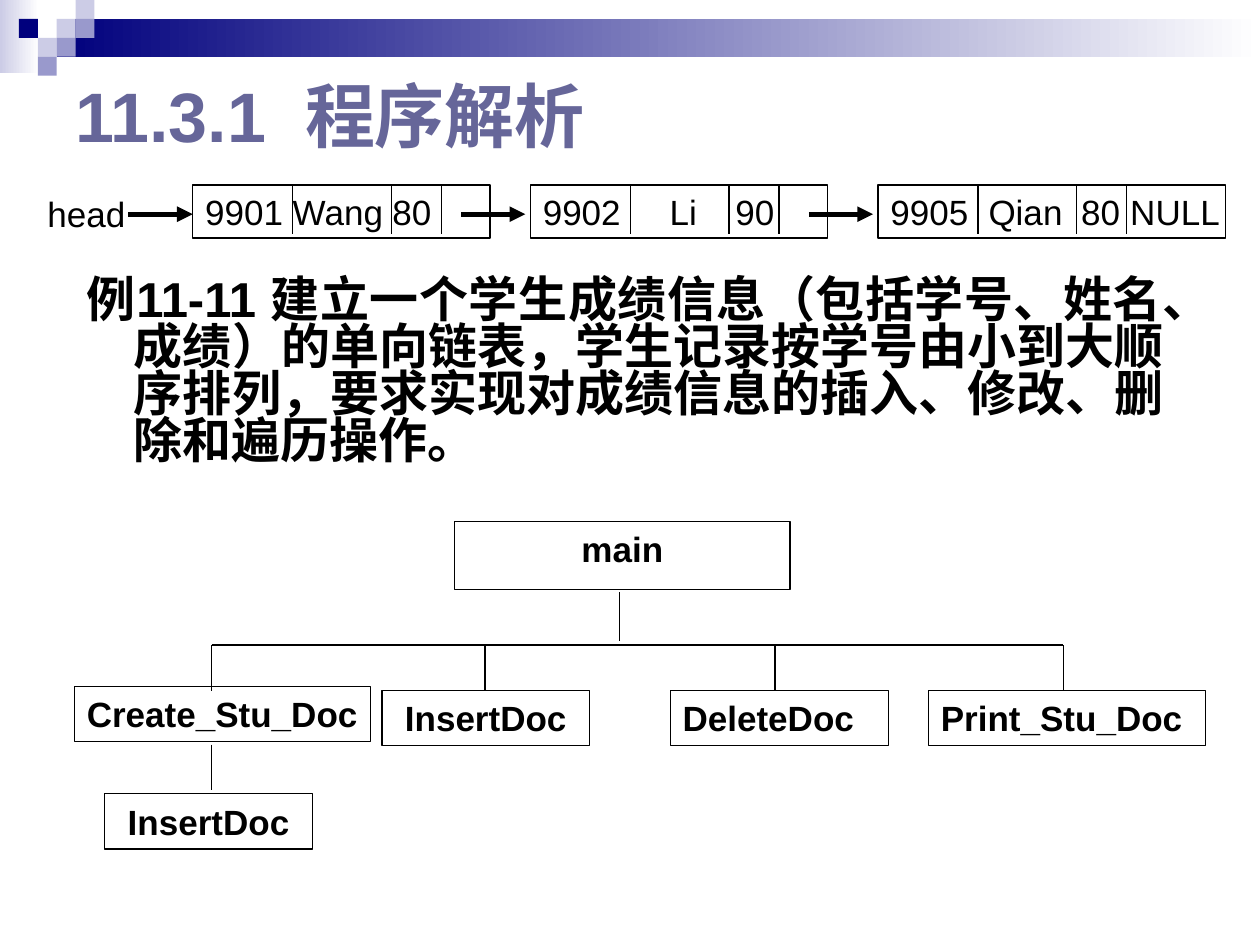
from pptx import Presentation
from pptx.dml.color import RGBColor
from pptx.enum import shapes, text
from pptx.oxml import ns, xmlchemy
from pptx.util import Pt

COLORS = {
    "ink": "000000",
    "paper": "FFFFFF",
    "title": "666699",
    "navy": "00007D",
    "lavender": "CCCCE6",
    "violet": "9999CC",
}
FONT = "Arial"
TILE = 10.8
NODE_TOP, NODE_HEIGHT = 105.8, 30.2
DIVIDERS = (57, 113.5, 142)


def rgb(name):
    return RGBColor.from_string(COLORS[name])


def add_child(parent, tag, **attributes):
    child = xmlchemy.OxmlElement(tag)
    for key, value in attributes.items():
        child.set(key, str(value))
    parent.append(child)
    return child


def add_words(paragraph, words, size, color="ink", bold=False):
    run = paragraph.add_run()
    run.text = words
    run.font.name = FONT
    run.font.size = Pt(size)
    run.font.bold = bold
    run.font.color.rgb = rgb(color)


def add_rect(slide, left, top, width, height):
    rect = slide.shapes.add_shape(
        shapes.MSO_SHAPE.RECTANGLE, Pt(left), Pt(top), Pt(width), Pt(height)
    )
    rect.shadow.inherit = False
    return rect


def add_tile(slide, column, row, color):
    tile = add_rect(slide, column * TILE, row * TILE, TILE, TILE)
    tile.fill.solid()
    tile.fill.fore_color.rgb = rgb(color)
    tile.line.fill.background()


def add_fading_band(slide, left, top, width, height, color):
    band = add_rect(slide, left, top, width, height)
    band.line.fill.background()
    band.fill.gradient()
    band.fill.gradient_angle = 0
    for stop, name in zip(band.fill.gradient_stops, (color, "paper")):
        stop.color.rgb = rgb(name)


def add_outlined_box(slide, left, top, width, height):
    box = add_rect(slide, left, top, width, height)
    box.fill.background()
    box.line.color.rgb = rgb("ink")
    box.line.width = Pt(0.75)
    return box


def add_line(slide, x1, y1, x2, y2, weight=0.75, arrow=False):
    line = slide.shapes.add_connector(
        shapes.MSO_CONNECTOR.STRAIGHT, Pt(x1), Pt(y1), Pt(x2), Pt(y2)
    )
    line.line.color.rgb = rgb("ink")
    line.line.width = Pt(weight)
    if arrow:
        add_child(line.line._get_or_add_ln(), "a:tailEnd", type="triangle")
    add_child(line._element.find(ns.qn("p:spPr")), "a:effectLst")


def add_text_box(slide, left, top, width, height, wrap):
    box = slide.shapes.add_textbox(Pt(left), Pt(top), Pt(width), Pt(height))
    box.text_frame.word_wrap = wrap
    return box.text_frame.paragraphs[0]


def add_list_node(slide, left, width, words, tab_stops):
    node = add_outlined_box(slide, left, NODE_TOP, width, NODE_HEIGHT)
    frame = node.text_frame
    frame.vertical_anchor = text.MSO_ANCHOR.MIDDLE
    frame.margin_right = 0
    record = frame.paragraphs[0]
    record.alignment = text.PP_ALIGN.LEFT
    tabs = add_child(record._p.get_or_add_pPr(), "a:tabLst")
    for stop in tab_stops:
        add_child(tabs, "a:tab", pos=int(Pt(stop)), algn="l")
    add_words(record, words, 20)
    for offset in DIVIDERS:
        x = left + offset
        add_line(slide, x, NODE_TOP, x, NODE_TOP + 28)


def add_function_box(slide, left, top, width, height, name, centred):
    box = add_outlined_box(slide, left, top, width, height)
    frame = box.text_frame
    frame.vertical_anchor = text.MSO_ANCHOR.TOP
    frame.word_wrap = centred
    label = frame.paragraphs[0]
    label.alignment = text.PP_ALIGN.CENTER if centred else text.PP_ALIGN.LEFT
    add_words(label, name, 20, bold=True)


def add_banner(slide):
    add_fading_band(slide, 0, 0, 22.3, 41.8, "lavender")
    add_fading_band(slide, 3 * TILE, TILE, 720 - 3 * TILE, 21.6, "navy")
    for column, row, color in (
        (3, 1, "lavender"), (4, 0, "lavender"), (4, 1, "violet"),
        (2, 2, "lavender"), (1, 1, "navy"), (3, 2, "violet"), (2, 3, "violet"),
    ):
        add_tile(slide, column, row, color)


def add_title(slide, words):
    title = slide.shapes.title
    title.left, title.top, title.width, title.height = Pt(36), Pt(36), Pt(648), Pt(58.3)
    frame = title.text_frame
    frame.auto_size = text.MSO_AUTO_SIZE.NONE
    frame.vertical_anchor = text.MSO_ANCHOR.MIDDLE
    heading = frame.paragraphs[0]
    heading.alignment = text.PP_ALIGN.LEFT
    add_words(heading, words, 40, "title", True)


def add_linked_list(slide):
    add_words(add_text_box(slide, 20, 106.6, 59, 31.7, False), "head", 20)
    for left, width, words, tab_stops in (
        (110.2, 169.9, "9901\tWang\t80", (50, 107)),
        (303.1, 169.9, "9902\tLi\t90", (72.5, 110)),
        (501.8, 198.7, "9905\tQian\t80\tNULL", (56, 109, 137)),
    ):
        add_list_node(slide, left, width, words, tab_stops)
    for start in (73.4, 263.5, 462.2):
        add_line(slide, start, 122.4, start + 36.7, 122.4, 3, True)


def add_task(slide, words):
    task = add_text_box(slide, 42.5, 156.2, 629.3, 118.8, True)
    task.alignment = text.PP_ALIGN.JUSTIFY
    task.line_spacing = 0.8
    properties = task._p.get_or_add_pPr()
    properties.set("marL", str(int(Pt(27))))
    properties.set("indent", str(int(Pt(-27))))
    add_words(task, words, 28, bold=True)


def add_call_tree(slide):
    bus, branch_end = 368.6, 394.6
    branches = (121, 277.2, 442.8, 607.7)
    add_line(slide, branches[0], bus, branches[-1], bus)
    for x in branches:
        add_line(slide, x, bus, x, branch_end)
    add_line(slide, 354.2, 338.4, 354.2, 366.5)
    add_line(slide, branches[0], 425.5, branches[0], 451.4)
    for left, top, width, height, name, centred in (
        (259.9, 298.1, 191.5, 38.9, "main", True),
        (42.5, 392.4, 169.2, 31.5, "Create_Stu_Doc", False),
        (218.2, branch_end, 118.8, 31.5, "InsertDoc", True),
        (383, branch_end, 124.6, 31.5, "DeleteDoc", False),
        (530.6, branch_end, 158.4, 31.5, "Print_Stu_Doc", False),
        (59.8, 453.6, 118.8, 31.5, "InsertDoc", True),
    ):
        add_function_box(slide, left, top, width, height, name, centred)


def main():
    deck = Presentation()
    deck.slide_width, deck.slide_height = Pt(720), Pt(540)
    slide = deck.slides.add_slide(deck.slide_layouts[5])
    add_banner(slide)
    add_title(slide, "11.3.1  程序解析")
    add_task(
        slide,
        "例11-11 建立一个学生成绩信息（包括学号、姓名、成绩）的单向链表，"
        "学生记录按学号由小到大顺序排列，要求实现对成绩信息的插入、修改、删除和遍历操作。",
    )
    add_call_tree(slide)
    add_linked_list(slide)
    deck.save("out.pptx")


if __name__ == "__main__":
    main()
